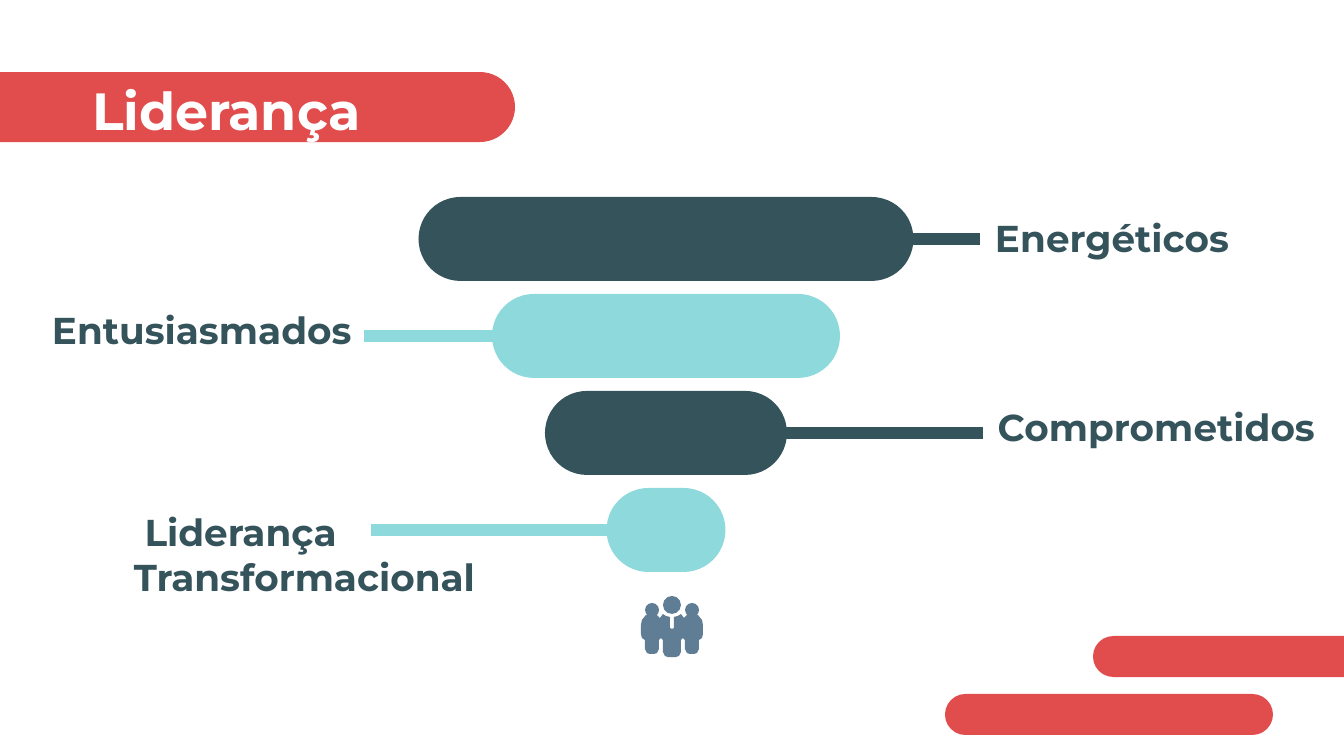
from lxml import etree
from pptx import Presentation
from pptx.dml.color import RGBColor
from pptx.enum.shapes import MSO_CONNECTOR, MSO_SHAPE
from pptx.enum.text import PP_ALIGN
from pptx.oxml.ns import qn
from pptx.util import Pt

PIXEL = 914400 / 134.4
RED = RGBColor(0xE1, 0x4D, 0x4D)
DARK = RGBColor(0x35, 0x53, 0x5B)
TEAL = RGBColor(0x8E, 0xD9, 0xDC)
SLATE = RGBColor(0x5F, 0x7D, 0x95)
WHITE = RGBColor(0xFF, 0xFF, 0xFF)
PILL, OVAL = MSO_SHAPE.ROUNDED_RECTANGLE, MSO_SHAPE.OVAL
STRAIGHT = MSO_CONNECTOR.STRAIGHT
LEFT, RIGHT = PP_ALIGN.LEFT, PP_ALIGN.RIGHT

presentation = Presentation()
presentation.slide_width = round(1344 * PIXEL)
presentation.slide_height = round(756 * PIXEL)
slide = presentation.slides.add_slide(presentation.slide_layouts[6])


def add_filled(kind, box, color):
    shape = slide.shapes.add_shape(kind, *[round(value * PIXEL) for value in box])
    if kind == PILL:
        shape.adjustments[0] = 0.5
    shape.shadow.inherit = False
    shape.fill.solid()
    shape.fill.fore_color.rgb = color
    shape.line.fill.background()


def add_text(text, box, size=20, color=DARK, align=LEFT, space_after=16):
    frame = slide.shapes.add_textbox(*[round(value * PIXEL) for value in box]).text_frame
    frame.word_wrap = True
    frame.margin_left = frame.margin_right = round(13 * PIXEL)
    frame.margin_top = frame.margin_bottom = round(13 * PIXEL)
    paragraph = frame.paragraphs[0]
    paragraph.alignment = align
    paragraph.space_after = Pt(space_after)
    run = paragraph.add_run()
    run.text = text
    run.font.name = "Montserrat"
    run.font.size = Pt(size)
    run.font.bold = True
    run.font.color.rgb = color


# Red bars and title
for bar in [(945, 694, 328, 41), (1093, 636, 328, 41), (-58, 72, 573, 70)]:
    add_filled(PILL, bar, RED)
add_text("Liderança", (79, 65, 1185, 85), size=28, color=WHITE, space_after=0)

# Funnel: pill width, colour, outer end of its line, label, label box, alignment
FUNNEL_CENTER, FUNNEL_TOP, PILL_HEIGHT, PITCH = 666, 197, 84, 97
levels = [
    (495, DARK, 980, "Energéticos", (980, 202, 262, 52), RIGHT),
    (348, TEAL, 364, "Entusiasmados", (39, 294, 329, 52), LEFT),
    (242, DARK, 983, "Comprometidos", (980, 391, 348, 52), RIGHT),
    (119, TEAL, 371, " Liderança Transformacional", (121, 496, 409, 52), LEFT),
]
for index, (width, color, line_end, label, label_box, align) in enumerate(levels):
    top = FUNNEL_TOP + index * PITCH
    middle = top + PILL_HEIGHT / 2
    ends = (FUNNEL_CENTER, middle, line_end, middle)
    connector = slide.shapes.add_connector(STRAIGHT, *[round(value * PIXEL) for value in ends])
    connector.line.color.rgb = color
    connector.line.width = Pt(6)
    etree.SubElement(connector._element.spPr, qn("a:effectLst"))
    add_filled(PILL, (FUNNEL_CENTER - width / 2, top, width, PILL_HEIGHT), color)
    add_text(label, label_box, align=align)

# Team icon: heads, then the bodies as one half outline and its mirror image
ICON_CENTER = 672
for offset, middle, radius in [(0, 605, 9), (-20, 610, 7), (20, 610, 7)]:
    head = (ICON_CENTER + offset - radius, middle - radius, 2 * radius, 2 * radius)
    add_filled(OVAL, head, SLATE)
half = [
    (0, 629), (2, 628), (2, 617), (6, 616), (9, 614), (12, 618), (15, 615),
    (26, 615), (30, 620), (31, 625), (31, 634), (30, 638), (27, 640), (27, 649),
    (25, 653), (22, 654), (18, 654), (15, 653), (13, 649), (13, 640), (11, 638),
    (9, 640), (9, 652), (7, 656), (4, 657), (0, 657),
]
outline = [(ICON_CENTER + x, y) for x, y in half]
outline += [(ICON_CENTER - x, y) for x, y in reversed(half[1:-1])]
builder = slide.shapes.build_freeform(*outline[0], scale=PIXEL)
builder.add_line_segments(outline[1:], close=True)
bodies = builder.convert_to_shape()
bodies.shadow.inherit = False
bodies.fill.solid()
bodies.fill.fore_color.rgb = SLATE
bodies.line.fill.background()

presentation.save("out.pptx")
